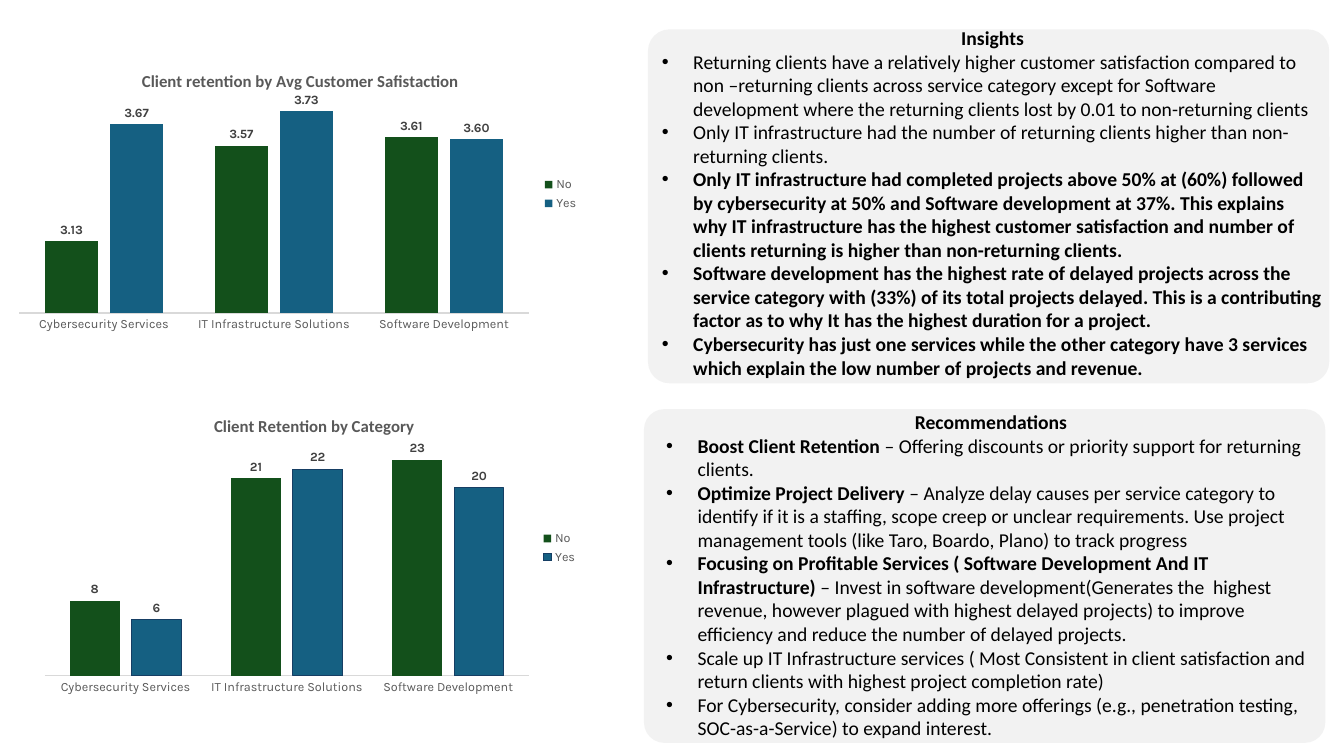
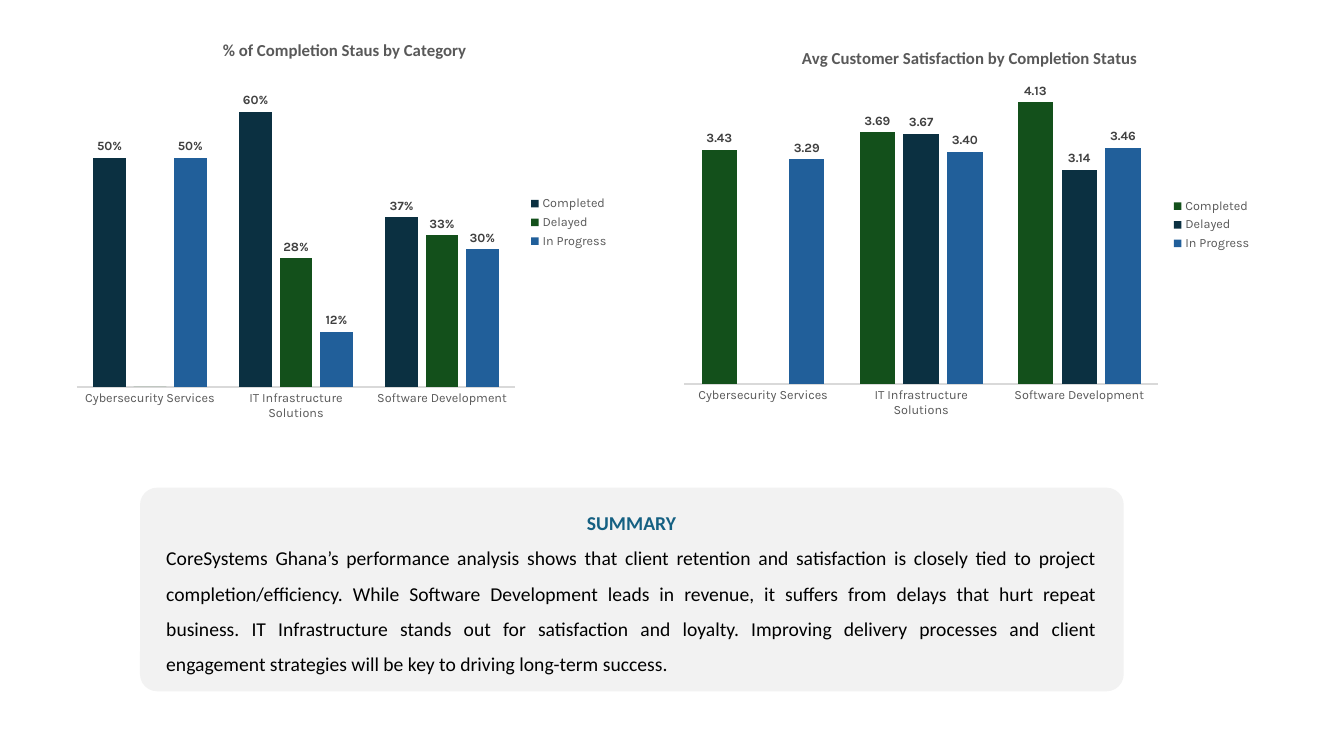
from lxml.etree import SubElement, Element
from pptx import Presentation
from pptx.chart.data import CategoryChartData
from pptx.dml.color import RGBColor
from pptx.enum.chart import (XL_CHART_TYPE, XL_LABEL_POSITION as LabelPos,
                             XL_LEGEND_POSITION as LegendPos, XL_TICK_MARK as Tick)
from pptx.enum.shapes import MSO_SHAPE as Preset
from pptx.enum.text import PP_ALIGN as Align
from pptx.oxml.ns import qn
from pptx.util import Cm, Pt

# Shared look
BLACK = RGBColor(0x00, 0x00, 0x00)
PANEL_GREY = RGBColor(0xF2, 0xF2, 0xF2)
AXIS_GREY = RGBColor(0xD9, 0xD9, 0xD9)
TEXT_GREY = RGBColor(0x59, 0x59, 0x59)
LABEL_GREY = RGBColor(0x40, 0x40, 0x40)
GREEN = RGBColor(0x13, 0x50, 0x1B)
TEAL = RGBColor(0x15, 0x60, 0x82)
TEAL_EDGE = RGBColor(0x16, 0x3E, 0x64)
NAVY = RGBColor(0x0B, 0x30, 0x41)
BLUE = RGBColor(0x21, 0x5F, 0x9A)

BODY_FONT = {"name": "Calibri", "size": Pt(14), "bold": False}
TITLE_FONT = {"name": "Calibri", "size": Pt(12), "bold": True}
BASE_FONT = {"name": "Karla", "size": Pt(10)}
SMALL_FONT = {"name": "Karla", "size": Pt(9), "bold": False}
LABEL_FONT = {"name": "Karla", "size": Pt(9), "bold": True}
HANG = Cm(0.79)

# Content; every box is left, top, width, height in centimetres
CATEGORIES = ["Cybersecurity Services", "IT Infrastructure Solutions", "Software Development"]

# A paragraph is a list of (text, bold) runs
INSIGHTS = {
    "heading": "Insights", "heading_color": BLACK, "bulleted": True, "corner": 0.061,
    "panel": (16.33, 0.74, 17.17, 8.92), "text": (16.43, 0.53, 17.17, 10.44),
    "paragraphs": [
        [("Returning clients have a relatively higher customer satisfaction compared to non "
          "–returning clients across service category except for Software development where "
          "the returning clients lost by 0.01 to non-returning clients", False)],
        [("Only IT infrastructure had the number of returning clients higher than "
          "non-returning clients.", False)],
        [("Only IT infrastructure had completed projects above 50% at (60%) followed by "
          "cybersecurity at 50% and Software development at 37%. This explains why IT "
          "infrastructure has the highest customer satisfaction and number of clients "
          "returning is higher than non-returning clients.", True)],
        [("Software development has the highest rate of delayed projects across the service "
          "category with (33%) of its total projects delayed. This is a contributing factor "
          "as to why It has the highest duration for a project.", True)],
        [("Cybersecurity has just one services while the other category have 3 services "
          "which explain the low number of projects and revenue.", True)],
    ],
}
RECOMMENDATIONS = {
    "heading": "Recommendations", "heading_color": BLACK, "bulleted": True, "corner": 0.061,
    "panel": (16.23, 10.31, 17.17, 8.41), "text": (16.54, 10.21, 16.87, 8.64),
    "paragraphs": [
        [("Boost Client Retention ", True),
         ("– Offering discounts or priority support for returning clients.", False)],
        [("Optimize Project Delivery ", True),
         ("– Analyze delay causes per service category to identify if it is a staffing, "
          "scope creep or unclear requirements. Use project management tools (like Taro, "
          "Boardo, Plano) to track progress", False)],
        [("Focusing on Profitable Services ( Software Development And IT Infrastructure) ", True),
         ("– Invest in software development(Generates the  highest revenue, however plagued "
          "with highest delayed projects) to improve efficiency and reduce the number of "
          "delayed projects.", False)],
        [("Scale up IT Infrastructure services ( Most Consistent in client satisfaction and "
          "return clients with highest project completion rate)", False)],
        [("For Cybersecurity, consider adding more offerings (e.g., penetration testing, "
          "SOC-as-a-Service) to expand interest.", False)],
    ],
}
SUMMARY = {
    "heading": "SUMMARY", "heading_color": TEAL, "bulleted": False, "corner": 0.084,
    "panel": (3.53, 12.29, 24.79, 5.13), "text": (3.94, 12.75, 23.95, 4.34),
    "paragraphs": [
        [("CoreSystems Ghana’s performance analysis shows that client retention and "
          "satisfaction is closely tied to project completion/efficiency. While Software "
          "Development leads in revenue, it suffers from delays that hurt repeat business. "
          "IT Infrastructure stands out for satisfaction and loyalty. Improving delivery "
          "processes and client engagement strategies will be key to driving long-term "
          "success.", False)],
    ],
}

# Series: name, values, fill, outline
RETENTION_SATISFACTION = {
    "title": "Client retention by Avg Customer Safistaction", "title_at": (3.5, 1.69),
    "box": (0.18, 1.27, 14.66, 7.24), "plot": (0.48, 2.42, 12.85, 5.47),
    "scale": (2.8, 3.8), "format": "0.00",
    "series": [("No", (3.13, 3.57, 3.61), GREEN, None),
               ("Yes", (3.67, 3.73, 3.6), TEAL, None)],
}
RETENTION_COUNT = {
    "title": "Client Retention by Category", "title_at": (5.32, 10.38),
    "box": (0.84, 9.93, 13.97, 7.75), "plot": (1.13, 11.11, 12.2, 5.92),
    "scale": (0, 25), "format": "General",
    "series": [("No", (8, 21, 23), GREEN, None),
               ("Yes", (6, 22, 20), TEAL, TEAL_EDGE)],
}
STATUS_SATISFACTION = {
    "title": "Avg Customer Satisfaction by Completion Status", "title_at": (20.13, 1.11),
    "box": (16.94, 0.61, 14.86, 10.11), "plot": (17.24, 1.94, 11.95, 7.74),
    "scale": (0, 4.5), "format": "0.00",
    "series": [("Completed", (3.43, 3.69, 4.13), GREEN, None),
               ("Delayed", (None, 3.67, 3.14), NAVY, None),
               ("In Progress", (3.29, 3.4, 3.46), BLUE, None)],
}
STATUS_SHARE = {
    "title": "% of Completion Staus by Category", "title_at": (5.54, 0.91),
    "box": (1.68, 0.41, 13.92, 10.39), "plot": (1.94, 1.66, 11.04, 8.09),
    "scale": (0, 0.7), "format": "0%;;",  # zero gets no label
    "series": [("Completed", (0.5, 0.6, 0.37), NAVY, None),
               ("Delayed", (0, 0.28, 0.33), GREEN, None),
               ("In Progress", (0.5, 0.12, 0.3), BLUE, None)],
}
SLIDES = [
    ([INSIGHTS, RECOMMENDATIONS], [RETENTION_SATISFACTION, RETENTION_COUNT]),
    ([SUMMARY], [STATUS_SATISFACTION, STATUS_SHARE]),
]


def cm_box(box):
    return [Cm(length) for length in box]


def set_font(font, style, color, **changes):
    for attribute, value in {**style, **changes}.items():
        setattr(font, attribute, value)
    font.color.rgb = color


def add_bullet(paragraph):
    properties = paragraph._p.get_or_add_pPr()
    properties.set("marL", str(HANG))
    properties.set("indent", str(-HANG))
    SubElement(properties, qn("a:buFont")).set("typeface", "Arial")
    SubElement(properties, qn("a:buChar")).set("char", "•")


def add_panel(slide, note):
    # Rounded background
    panel = slide.shapes.add_shape(Preset.ROUNDED_RECTANGLE, *cm_box(note["panel"]))
    panel.adjustments[0] = note["corner"]
    panel.shadow.inherit = False
    panel.fill.solid()
    panel.fill.fore_color.rgb = PANEL_GREY
    panel.line.fill.background()

    # Heading and body
    frame = slide.shapes.add_textbox(*cm_box(note["text"])).text_frame
    frame.word_wrap = True
    heading = frame.paragraphs[0]
    heading.alignment = Align.CENTER
    run = heading.add_run()
    run.text = note["heading"]
    set_font(run.font, BODY_FONT, note["heading_color"], bold=True)
    for runs in note["paragraphs"]:
        paragraph = frame.add_paragraph()
        if note["bulleted"]:
            add_bullet(paragraph)
        else:
            paragraph.alignment = Align.JUSTIFY
            paragraph.line_spacing = 1.5
        for text, bold in runs:
            run = paragraph.add_run()
            run.text = text
            set_font(run.font, BODY_FONT, BLACK, bold=bold)


def place(part, index, chart_box, position, inner=False):
    """Fix a chart part at a slide position, as fractions of the chart box."""
    layout = part.find(qn("c:layout"))
    if layout is None:
        layout = Element(qn("c:layout"))
        part.insert(index, layout)
    for child in list(layout):
        layout.remove(child)
    manual = SubElement(layout, qn("c:manualLayout"))
    left, top, width, height = chart_box
    x, y, *size = position
    settings = [("layoutTarget", "inner")] if inner else []
    settings += [("xMode", "edge"), ("yMode", "edge"),
                 ("x", (x - left) / width), ("y", (y - top) / height)]
    if size:
        settings += [("w", size[0] / width), ("h", size[1] / height)]
    for tag, value in settings:
        SubElement(manual, qn("c:" + tag)).set("val", str(value))


def add_column_chart(slide, spec_data):
    data = CategoryChartData(number_format=spec_data["format"])
    data.categories = CATEGORIES
    for name, values, _, _ in spec_data["series"]:
        data.add_series(name, values)
    chart = slide.shapes.add_chart(XL_CHART_TYPE.COLUMN_CLUSTERED,
                                   *cm_box(spec_data["box"]), data).chart
    set_font(chart.font, BASE_FONT, BLACK)

    # Title and legend
    title = chart.chart_title
    title.include_in_layout = False
    title.text_frame.text = spec_data["title"]
    set_font(title.text_frame.paragraphs[0].runs[0].font, TITLE_FONT, TEXT_GREY)
    place(title._element, 1, spec_data["box"], spec_data["title_at"])
    chart.has_legend = True
    chart.legend.position = LegendPos.RIGHT
    chart.legend.include_in_layout = False
    set_font(chart.legend.font, SMALL_FONT, TEXT_GREY)

    # Axes
    value_axis, category_axis = chart.value_axis, chart.category_axis
    value_axis.minimum_scale, value_axis.maximum_scale = spec_data["scale"]
    value_axis.has_major_gridlines = False
    value_axis.visible = False
    category_axis.major_tick_mark = Tick.NONE
    category_axis.format.line.color.rgb = AXIS_GREY
    category_axis.format.line.width = Pt(1)
    set_font(category_axis.tick_labels.font, SMALL_FONT, TEXT_GREY)

    # Columns and their labels
    plot = chart.plots[0]
    plot.gap_width, plot.overlap = 100, -24
    plot.vary_by_categories = False
    place(chart._chartSpace.chart.plotArea, 0, spec_data["box"], spec_data["plot"], inner=True)
    for series, (_, _, color, edge) in zip(plot.series, spec_data["series"]):
        series.invert_if_negative = False
        series.format.fill.solid()
        series.format.fill.fore_color.rgb = color
        if edge is not None:
            series.format.line.color.rgb = edge
            series.format.line.width = Pt(0.75)
        labels = series.data_labels
        labels.show_value = True
        labels.position = LabelPos.OUTSIDE_END
        labels.number_format = spec_data["format"]
        labels.number_format_is_linked = False
        set_font(labels.font, LABEL_FONT, LABEL_GREY)


def main():
    deck = Presentation()
    deck.slide_width, deck.slide_height = Cm(33.87), Cm(19.05)
    blank = deck.slide_layouts.get_by_name("Blank")
    for notes, charts in SLIDES:
        slide = deck.slides.add_slide(blank)
        for note in notes:
            add_panel(slide, note)
        for chart in charts:
            add_column_chart(slide, chart)
    deck.save("out.pptx")


if __name__ == "__main__":
    main()
